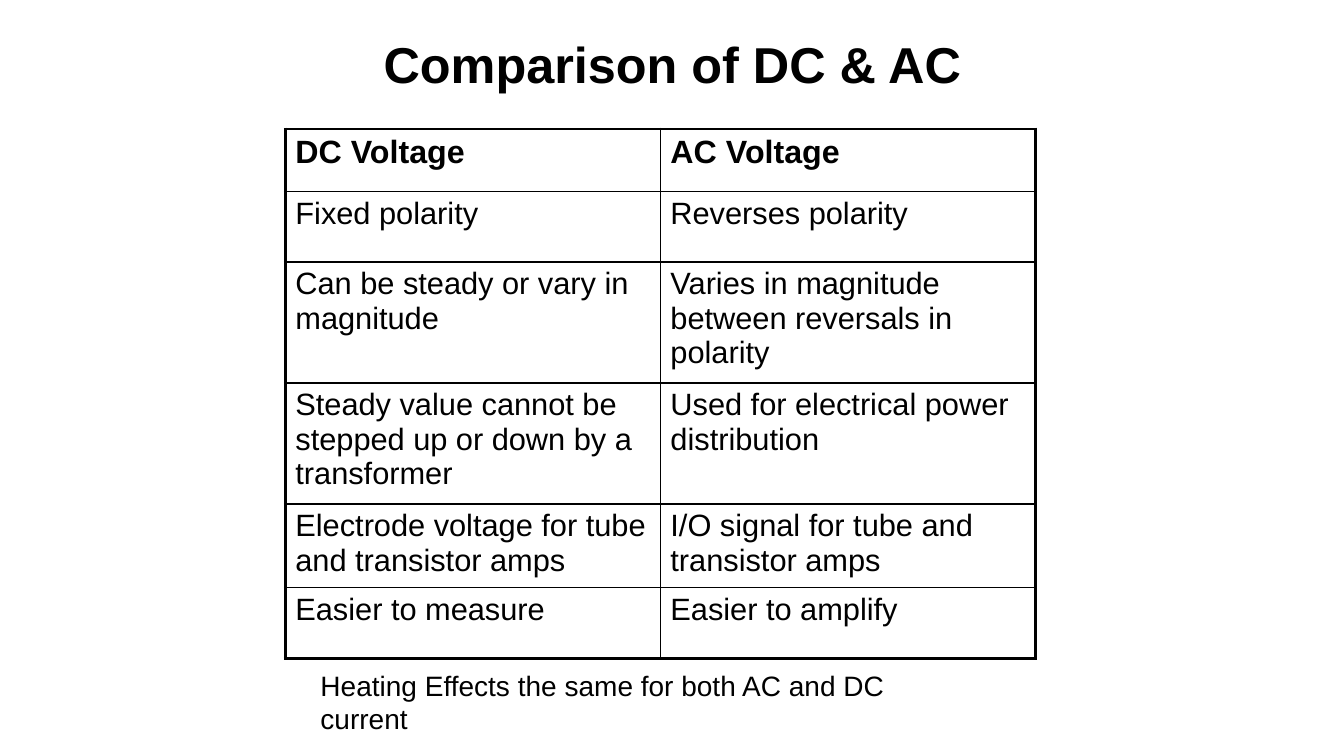
from lxml.etree import SubElement
from pptx import Presentation
from pptx.dml.color import RGBColor
from pptx.enum.text import MSO_ANCHOR, PP_ALIGN
from pptx.oxml.ns import qn
from pptx.util import Inches, Pt

BLACK = "000000"
OUTER_LINE, INNER_LINE = 2.25, 1
COLUMN_WIDTHS = [3.72, 3.72]
ROW_HEIGHTS = [0.62, 0.7, 1.2, 1.2, 0.83, 0.7]
COMPARISON = [
    ("DC Voltage", "AC Voltage"),
    ("Fixed polarity", "Reverses polarity"),
    ("Can be steady or vary in magnitude",
     "Varies in magnitude between reversals in polarity"),
    ("Steady value cannot be stepped up or down by a transformer",
     "Used for electrical power distribution"),
    ("Electrode voltage for tube and transistor amps",
     "I/O signal for tube and transistor amps"),
    ("Easier to measure", "Easier to amplify"),
]


def color(value):
    return RGBColor.from_string(value)


def write(frame, text, size, bold=False, align=PP_ALIGN.LEFT, anchor=MSO_ANCHOR.TOP):
    frame.word_wrap = True
    frame.vertical_anchor = anchor
    para = frame.paragraphs[0]
    para.alignment = align
    span = para.add_run()
    span.text = text
    span.font.name = "Arial"
    span.font.size = Pt(size)
    span.font.bold = bold
    span.font.color.rgb = color(BLACK)


def set_borders(cell, widths):
    """Draw the four cell borders; widths are points for left, right, top, bottom."""
    properties = cell._tc.get_or_add_tcPr()
    for index, (side, width) in enumerate(zip("LRTB", widths)):
        line = SubElement(properties, qn(f"a:ln{side}"), w=str(Pt(width)))
        fill = SubElement(line, qn("a:solidFill"))
        SubElement(fill, qn("a:srgbClr"), val=BLACK)
        properties.insert(index, line)


def add_title(page, left, top, width, height):
    title = page.shapes.title
    title.left, title.top = Inches(left), Inches(top)
    title.width, title.height = Inches(width), Inches(height)
    write(title.text_frame, "Comparison of DC & AC", 36, bold=True,
          align=PP_ALIGN.CENTER, anchor=MSO_ANCHOR.MIDDLE)


def add_comparison(page, left, top):
    last_row, last_column = len(ROW_HEIGHTS) - 1, len(COLUMN_WIDTHS) - 1
    table = page.shapes.add_table(
        len(ROW_HEIGHTS), len(COLUMN_WIDTHS), Inches(left), Inches(top),
        Inches(sum(COLUMN_WIDTHS)), Inches(sum(ROW_HEIGHTS))).table
    table.horz_banding = False
    for column, width in zip(table.columns, COLUMN_WIDTHS):
        column.width = Inches(width)
    for row, height in zip(table.rows, ROW_HEIGHTS):
        row.height = Inches(height)

    # Header row is bold and larger; the outer frame is heavier than the grid
    for r, texts in enumerate(COMPARISON):
        for c, text in enumerate(texts):
            cell = table.cell(r, c)
            cell.fill.background()
            write(cell.text_frame, text, 23 if r == 0 else 22, bold=r == 0)
            on_edge = (c == 0, c == last_column, r == 0, r == last_row)
            set_borders(cell, [OUTER_LINE if edge else INNER_LINE for edge in on_edge])


def add_note(page, left, top, width, height):
    box = page.shapes.add_textbox(Inches(left), Inches(top), Inches(width), Inches(height))
    write(box.text_frame, "Heating Effects the same for both AC and DC current", 20)


def main():
    deck = Presentation()
    deck.slide_width, deck.slide_height = Inches(13.33), Inches(7.5)
    page = deck.slides.add_slide(deck.slide_layouts[5])
    add_title(page, 2.17, 0.25, 9, 0.75)
    add_comparison(page, 2.83, 1.28)
    add_note(page, 3.08, 6.58, 6.72, 0.44)
    deck.save("out.pptx")


if __name__ == "__main__":
    main()
